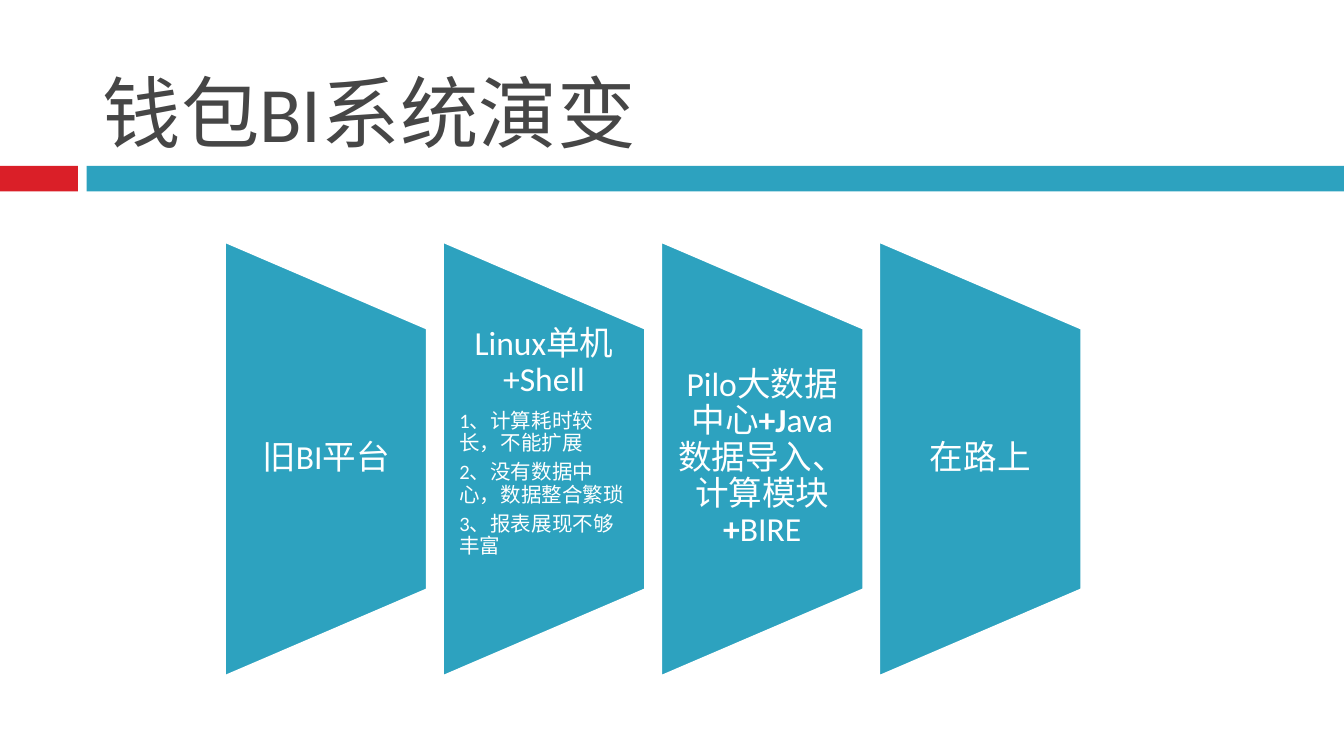
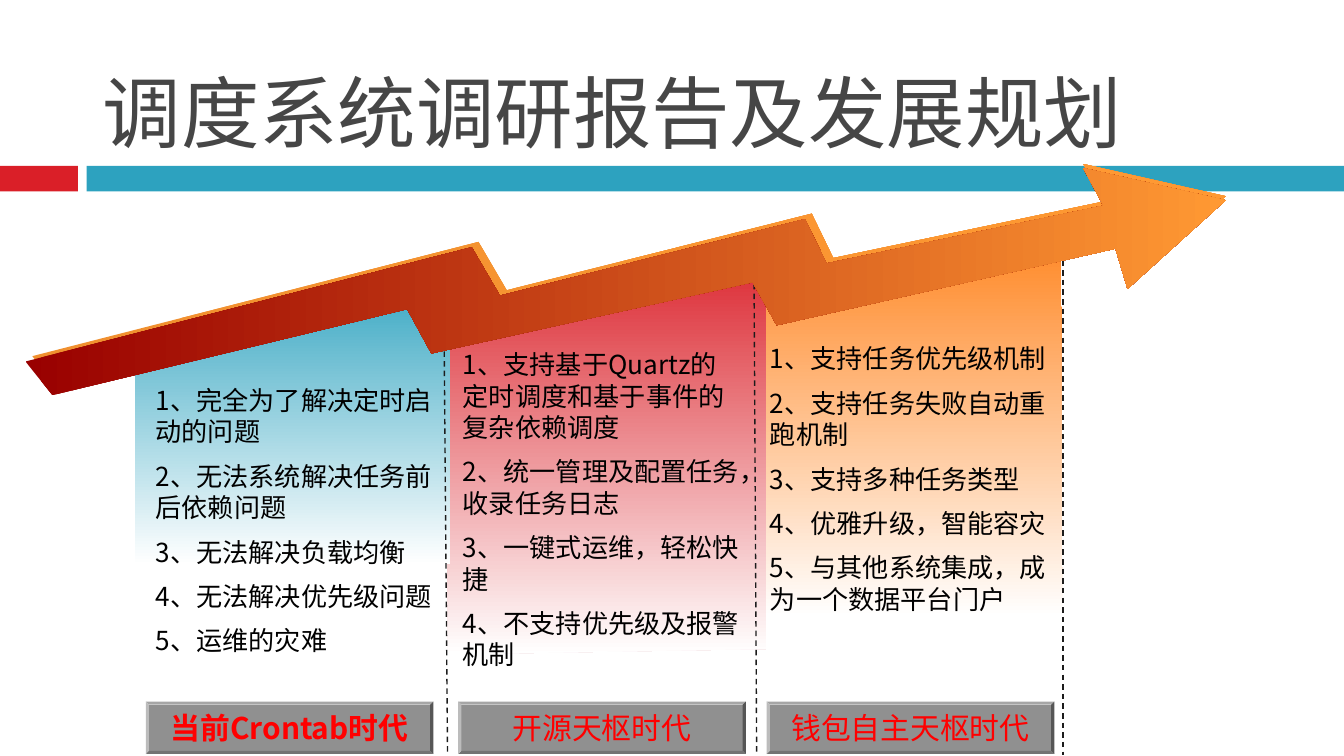
from lxml import etree
from pptx import Presentation
from pptx.dml.color import RGBColor
from pptx.enum.dml import MSO_LINE
from pptx.enum.shapes import MSO_CONNECTOR, MSO_SHAPE
from pptx.enum.text import MSO_ANCHOR, PP_ALIGN
from pptx.oxml.ns import qn
from pptx.util import Inches, Pt

RECT = MSO_SHAPE.RECTANGLE
TRAPEZOID = MSO_SHAPE.FLOWCHART_MANUAL_OPERATION
BEVEL = MSO_SHAPE.BEVEL
STRAIGHT = MSO_CONNECTOR.STRAIGHT
DASH = MSO_LINE.DASH
TOP, MIDDLE, BOTTOM = MSO_ANCHOR.TOP, MSO_ANCHOR.MIDDLE, MSO_ANCHOR.BOTTOM
LEFT, CENTER = PP_ALIGN.LEFT, PP_ALIGN.CENTER

CELL = Inches(0.1)
COLS, ROWS = 100, 56.25
LATIN, CJK = "Calibri", "Noto Sans CJK SC"
C = {
    "red": "DA1F28", "teal": "2DA2BF", "title": "464646", "white": "FFFFFF",
    "black": "000000", "orange": "FF8119", "dash": "1C1C1C", "gray": "909090",
    "label": "FF0000", "arrow_start": "990000", "arrow_end": "FF9933",
    "arrow_edge": "F0902F",
}

STAGES = [
    [("旧BI平台", {})],
    [("Linux单机+Shell", {})]
    + [(t, {"size": 11, "align": LEFT, "after": 3.85}) for t in (
        "1、计算耗时较长，不能扩展",
        "2、没有数据中心，数据整合繁琐",
        "3、报表展现不够丰富")],
    [([("Pilo大数据中心", False), ("+J", True), ("ava数据导入、计算模块", False),
       ("+", True), ("BIRE", False)], {})],
    [("在路上", {})],
]

ERAS = [
    {"label": "当前Crontab时代", "bold": True, "left": 10.85, "color": "teal",
     "panel": [(31.8, 19.5), (33.5, 24.6), (33.5, 42), (10.05, 42), (10.05, 27.5)],
     "divider": (33, 19.7, 33.3), "text": (10.6, 28.1, 22.6, 22.2),
     "points": ["1、完全为了解决定时启动的问题", "2、无法系统解决任务前后依赖问题",
                "3、无法解决负载均衡", "4、无法解决优先级问题", "5、运维的灾难"]},
    {"label": "开源天枢时代", "bold": False, "left": 34.1, "color": "red",
     "panel": [(55.3, 17.6), (57, 22.6), (57, 48.3), (33.3, 48.7), (33.3, 24.5)],
     "divider": (56.1, 19.7, 56.3), "text": (33.45, 25.45, 22.8, 26),
     "points": ["1、支持基于Quartz的定时调度和基于事件的复杂依赖调度",
                "2、统一管理及配置任务，收录任务日志",
                "3、一键式运维，轻松快捷", "4、不支持优先级及报警机制"]},
    {"label": "钱包自主天枢时代", "bold": False, "left": 57.05, "color": "orange",
     "panel": [(78.9, 16), (79.1, 45.9), (56.3, 45.9), (56.4, 23.1)],
     "divider": (79.1, 15.8, 79.1), "text": (56.3, 25, 22.6, 22.2),
     "points": ["1、支持任务优先级机制", "2、支持任务失败自动重跑机制",
                "3、支持多种任务类型", "4、优雅升级，智能容灾",
                "5、与其他系统集成，成为一个数据平台门户"]},
]

ARROW = [(1.9, 26.9), (35.1, 18.4), (37.2, 22), (59.9, 16.3), (61.5, 19.6),
         (82.1, 15.3), (80.6, 12.5), (91.2, 14.9), (83.9, 21.5), (83, 18.5),
         (57.8, 24.2), (56, 21), (32.1, 26.3), (30.3, 23), (3.9, 29.4)]


def rgb(name):
    return RGBColor.from_string(C[name])


def grid(*cells):
    return [round(c * CELL) for c in cells]


def add_text(tf, text, first=False, size=18, color="white", font=LATIN, bold=False,
             align=LEFT, before=0, after=0, spacing=None, hanging=True):
    p = tf.paragraphs[0] if first else tf.add_paragraph()
    p.alignment = align
    p.space_before, p.space_after = Pt(before), Pt(after)
    p.line_spacing = spacing
    if not hanging:
        p._p.get_or_add_pPr().set("hangingPunct", "0")
    runs = [(text, bold)] if isinstance(text, str) else text
    for content, strong in runs:
        r = p.add_run()
        r.text = content
        r.font.size, r.font.bold = Pt(size), strong
        r.font.color.rgb = rgb(color)
        r.font.name = font
        etree.SubElement(r.font._element, qn("a:ea"), typeface=CJK)


def text_box(slide, area, anchor=TOP, insets=None):
    tf = slide.shapes.add_textbox(*grid(*area)).text_frame
    tf.word_wrap = True
    tf.vertical_anchor = anchor
    if insets:
        tf.margin_left, tf.margin_top, tf.margin_right, tf.margin_bottom = grid(*insets)
    return tf


def add_box(slide, kind, area, fill, line=None):
    sp = slide.shapes.add_shape(kind, *grid(*area))
    sp.shadow.inherit = False
    sp.fill.solid()
    sp.fill.fore_color.rgb = rgb(fill)
    if line:
        sp.line.color.rgb = rgb(line)
        sp.line.width = Pt(1.5)
    else:
        sp.line.fill.background()
    return sp


def add_outline(slide, points, start, end, angle):
    pts = [grid(*pt) for pt in points]
    builder = slide.shapes.build_freeform(*pts[0], scale=1.0)
    builder.add_line_segments(pts[1:], close=True)
    sp = builder.convert_to_shape()
    sp.shadow.inherit = False
    sp.line.fill.background()
    sp.fill.gradient()
    sp.fill.gradient_angle = angle
    for stop, name in zip(sp.fill.gradient_stops, (start, end)):
        stop.color.rgb = rgb(name)


def add_divider(slide, x1, y1, x2):
    line = slide.shapes.add_connector(STRAIGHT, *grid(x1, y1, x2, ROWS - 0.1))
    line.line.color.rgb = rgb("dash")
    line.line.width = Pt(0.75)
    line.line.dash_style = DASH
    etree.SubElement(line._element.spPr, qn("a:effectLst"))


def add_stage(slide, index, paragraphs):
    left, width, height = 16.7 + 16.23 * index, 15.1, 32.4
    center_x, center_y = left + width / 2, 34.15
    sp = add_box(slide, TRAPEZOID, (center_x - height / 2, center_y - width / 2,
                                    height, width), "teal", "white")
    sp.rotation = 270
    bottom = 2.4 if len(paragraphs) > 1 else 0
    tf = text_box(slide, (left, 24.4, width, 19.4), MIDDLE, (1.25, 0, 1.25, bottom))
    for i, (text, style) in enumerate(paragraphs):
        add_text(tf, text, i == 0, spacing=0.9, hanging=False,
                 **{"align": CENTER, "after": 6.3, **style})


def add_label(slide, left, text, bold):
    sp = add_box(slide, BEVEL, (left, 52.2, 21.4, 3.9), "gray")
    sp.adjustments[0] = 0.06
    tf = sp.text_frame
    tf.word_wrap = False
    tf.vertical_anchor = MIDDLE
    add_text(tf, text, True, size=16, color="label", font=CJK, bold=bold, align=CENTER)


def new_slide(prs, title):
    slide = prs.slides.add_slide(prs.slide_layouts[6])
    add_box(slide, RECT, (0, 12.35, 5.8, 1.9), "red")
    add_box(slide, RECT, (6.45, 12.35, COLS - 6.45, 1.9), "teal")
    tf = text_box(slide, (6.65, 1.3, 89.2, 11), BOTTOM)
    add_text(tf, title, True, size=42, color="title")
    return slide


def evolution_slide(prs):
    slide = new_slide(prs, "钱包BI系统演变")
    for i, paragraphs in enumerate(STAGES):
        add_stage(slide, i, paragraphs)


def scheduling_slide(prs):
    slide = new_slide(prs, "调度系统调研报告及发展规划")
    for era in reversed(ERAS):
        add_outline(slide, era["panel"], era["color"], "white", 270)
    for era in ERAS:
        add_divider(slide, *era["divider"])
    edge = [(x + 0.5, y - 0.4) if x < 80 else (x, y - 0.3) for x, y in ARROW]
    add_outline(slide, edge, "arrow_edge", "arrow_end", 0)
    add_outline(slide, ARROW, "arrow_start", "arrow_end", 0)
    for era in ERAS:
        add_label(slide, era["left"], era["label"], era["bold"])
        tf = text_box(slide, era["text"])
        for i, point in enumerate(era["points"]):
            add_text(tf, point, i == 0, size=14, color="black", font=CJK, before=7)


def main():
    prs = Presentation()
    prs.slide_width, prs.slide_height = grid(COLS, ROWS)
    evolution_slide(prs)
    scheduling_slide(prs)
    prs.save("out.pptx")


if __name__ == "__main__":
    main()
